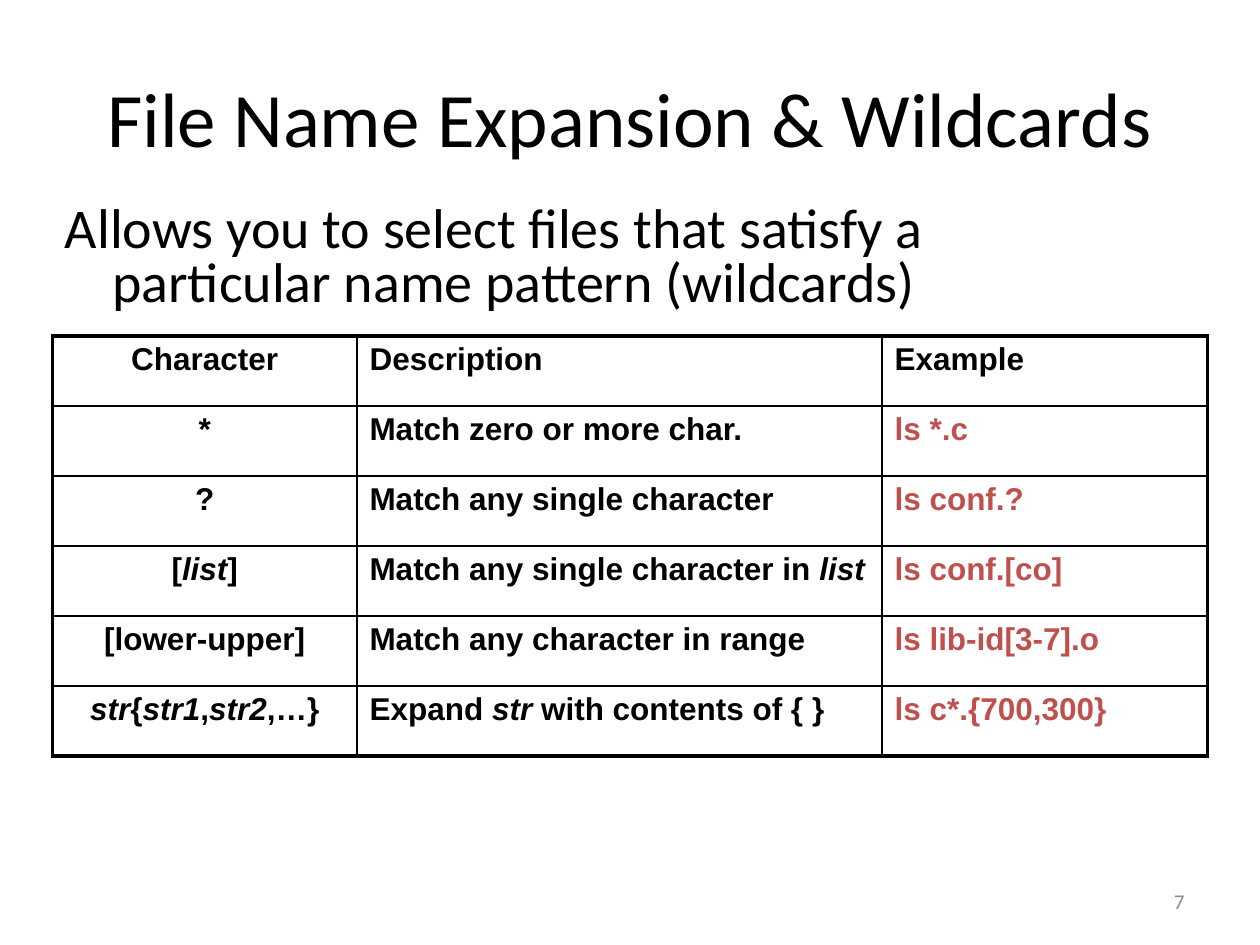
from lxml.etree import SubElement
from pptx import Presentation
from pptx.dml.color import RGBColor
from pptx.enum.text import MSO_ANCHOR, PP_ALIGN
from pptx.oxml.ns import qn
from pptx.util import Pt

COLORS = {"text": "000000", "example": "C0504D", "number": "8C8C8C"}

TITLE = "File Name Expansion & Wildcards"
INTRO = "Allows you to select files that satisfy a particular name pattern (wildcards)"
PAGE_NUMBER = "7"

# Text between bars is italic.
ROWS = [
    ("Character", "Description", "Example"),
    ("*", "Match zero or more char.", "ls *.c"),
    ("?", "Match any single character", "ls conf.?"),
    ("[|list|]", "Match any single character in |list|", "ls conf.[co]"),
    ("[lower-upper]", "Match any character in range", "ls lib-id[3-7].o"),
    ("|str|{|str1|,|str2|,…}", "Expand |str| with contents of { }", "ls c*.{700,300}"),
]
COLUMN_WIDTHS = (174, 300, 186)
ROW_HEIGHT = 40
TABLE_LEFT, TABLE_TOP = 30, 192
OUTER_LINE, INNER_LINE = 2.25, 1


def add_run(paragraph, text, size, font, color):
    run = paragraph.add_run()
    run.text = text
    run.font.size = Pt(size)
    run.font.name = font
    run.font.color.rgb = RGBColor.from_string(COLORS[color])
    return run


def add_text(slide, box, text, size, color, align, anchor):
    shape = slide.shapes.add_textbox(*map(Pt, box))
    frame = shape.text_frame
    frame.word_wrap = True
    frame.vertical_anchor = anchor
    paragraph = frame.paragraphs[0]
    paragraph.alignment = align
    add_run(paragraph, text, size, "Calibri", color)
    return paragraph


def set_border(cell, side, width):
    properties = cell._tc.get_or_add_tcPr()
    line = SubElement(properties, qn(f"a:ln{side}"), w=str(Pt(width)))
    fill = SubElement(line, qn("a:solidFill"))
    SubElement(fill, qn("a:srgbClr"), val=COLORS["text"])


def fill_cell(cell, text, row, column):
    outer_sides = {
        "L": column == 0,
        "R": column == len(COLUMN_WIDTHS) - 1,
        "T": row == 0,
        "B": row == len(ROWS) - 1,
    }
    for side, is_outer in outer_sides.items():
        set_border(cell, side, OUTER_LINE if is_outer else INNER_LINE)
    cell.fill.background()
    paragraph = cell.text_frame.paragraphs[0]
    paragraph.alignment = PP_ALIGN.CENTER if column == 0 else PP_ALIGN.LEFT
    color = "example" if row > 0 and column == 2 else "text"
    for index, part in enumerate(text.split("|")):
        if part:
            run = add_run(paragraph, part, 18, "Arial", color)
            run.font.bold = True
            run.font.italic = index % 2 == 1


def add_wildcard_table(slide):
    frame = slide.shapes.add_table(
        len(ROWS), len(COLUMN_WIDTHS), Pt(TABLE_LEFT), Pt(TABLE_TOP),
        Pt(sum(COLUMN_WIDTHS)), Pt(ROW_HEIGHT * len(ROWS)))
    table = frame.table
    table.first_row = False
    table.horz_banding = False
    for column, width in zip(table.columns, COLUMN_WIDTHS):
        column.width = Pt(width)
    for row, texts in enumerate(ROWS):
        table.rows[row].height = Pt(ROW_HEIGHT)
        for column, text in enumerate(texts):
            fill_cell(table.cell(row, column), text, row, column)


def main():
    presentation = Presentation()
    presentation.slide_width = Pt(720)
    presentation.slide_height = Pt(540)
    slide = presentation.slides.add_slide(presentation.slide_layouts[6])

    add_text(slide, (36, 21.6, 648, 90), TITLE, 44, "text",
             PP_ALIGN.CENTER, MSO_ANCHOR.MIDDLE)
    intro = add_text(slide, (30, 114, 612, 72), INTRO, 32, "text",
                     PP_ALIGN.LEFT, MSO_ANCHOR.TOP)
    intro.line_spacing = 0.8
    indent = Pt(27)
    properties = intro._p.get_or_add_pPr()
    properties.set("marL", str(indent))
    properties.set("indent", str(-indent))
    add_text(slide, (516, 500.5, 168, 28.75), PAGE_NUMBER, 12, "number",
             PP_ALIGN.RIGHT, MSO_ANCHOR.MIDDLE)
    add_wildcard_table(slide)
    presentation.save("out.pptx")


if __name__ == "__main__":
    main()
